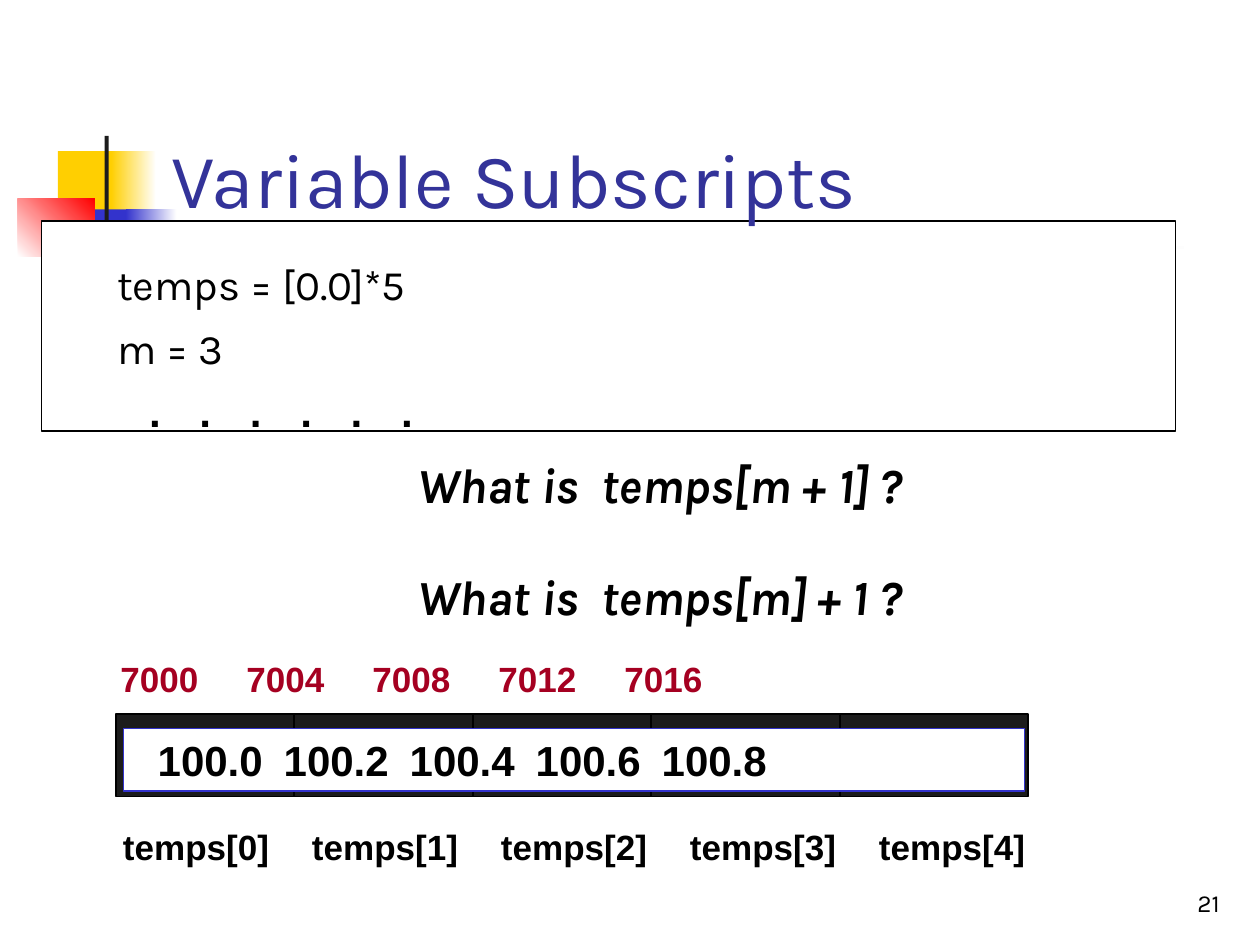
import pptx
import pptx.dml.color
import pptx.enum.shapes
import pptx.enum.text
import pptx.oxml
import pptx.oxml.ns
import pptx.util
from pptx.util import Cm

ANCHOR = pptx.enum.text.MSO_ANCHOR
ALIGN = pptx.enum.text.PP_ALIGN
BLACK, WHITE, DARK = "000000", "FFFFFF", "1C1C1C"
GOLD, BLUE, RED = "FFCF01", "3333CC", "FF0000"


def color(code):
    return pptx.dml.color.RGBColor.from_string(code)


def write(para, text, font="Karla", size=24, ink=BLACK, bold=False, italic=False,
          align=ALIGN.LEFT, before=0, left=0, hanging=0, stops=()):
    properties = para._p.get_or_add_pPr()
    properties.set("marL", str(Cm(left)))
    properties.set("indent", str(Cm(-hanging)))
    if stops:
        tabs = pptx.oxml.parse_xml(f"<a:tabLst {pptx.oxml.ns.nsdecls('a')}/>")
        for stop in stops:
            tab = tabs.makeelement(pptx.oxml.ns.qn("a:tab"), pos=str(Cm(stop)), algn="l")
            tabs.append(tab)
        properties.append(tabs)
    para.alignment = align
    para.space_before = pptx.util.Pt(before)
    span = para.add_run()
    span.text = text
    span.font.name = font
    span.font.size = pptx.util.Pt(size)
    span.font.color.rgb = color(ink)
    span.font.bold = bold
    span.font.italic = italic


class Painter:
    def __init__(self, page):
        self.page = page

    def rectangle(self, left, top, width, height, fill, line=None, weight=1, angle=0):
        kind = pptx.enum.shapes.MSO_SHAPE.RECTANGLE
        box = self.page.shapes.add_shape(kind, Cm(left), Cm(top), Cm(width), Cm(height))
        box.shadow.inherit = False
        if isinstance(fill, tuple):
            box.fill.gradient()
            box.fill.gradient_angle = angle
            for stop, code, position in zip(box.fill.gradient_stops, fill, (0, 1)):
                stop.color.rgb = color(code)
                stop.position = position
        else:
            box.fill.solid()
            box.fill.fore_color.rgb = color(fill)
        if line:
            box.line.color.rgb = color(line)
            box.line.width = pptx.util.Pt(weight)
        else:
            box.line.fill.background()
        return box

    def divider(self, x, top, bottom):
        kind = pptx.enum.shapes.MSO_CONNECTOR.STRAIGHT
        line = self.page.shapes.add_connector(kind, Cm(x), Cm(top), Cm(x), Cm(bottom))
        line.line.color.rgb = color(BLACK)
        line.line.width = pptx.util.Pt(1)
        effects = pptx.oxml.parse_xml(f"<a:effectLst {pptx.oxml.ns.nsdecls('a')}/>")
        line._element.spPr.append(effects)

    def text(self, left, top, width, height, paragraphs, anchor=ANCHOR.TOP):
        box = self.page.shapes.add_textbox(Cm(left), Cm(top), Cm(width), Cm(height))
        frame = box.text_frame
        frame.word_wrap = True
        frame.vertical_anchor = anchor
        for index, (content, style) in enumerate(paragraphs):
            para = frame.add_paragraph() if index else frame.paragraphs[0]
            write(para, content, **style)

    def row(self, left, top, items, stops, ink=BLACK):
        style = dict(font="Arial", size=20, bold=True, ink=ink, stops=stops)
        self.text(left, top, 19, 1.09, [("\t".join(items), style)])


def main():
    deck = pptx.Presentation()
    deck.slide_width, deck.slide_height = Cm(25.4), Cm(19.05)
    painter = Painter(deck.slides.add_slide(deck.slide_layouts[6]))

    painter.rectangle(1.17, 3.05, 1.22, 1.32, GOLD)
    painter.rectangle(2.24, 3.05, 0.91, 1.32, (GOLD, WHITE))
    painter.rectangle(1.5, 4.22, 1.17, 1.32, BLUE)
    painter.rectangle(2.54, 4.22, 1.02, 1.32, (BLUE, WHITE))
    painter.rectangle(0.36, 4.01, 1.55, 1.17, (WHITE, RED), angle=45)
    painter.rectangle(2.11, 2.74, 0.08, 2.92, DARK)
    painter.rectangle(1.22, 4.95, 22.86, 0.08, (DARK, WHITE))
    painter.text(19.56, 17.35, 5.28, 1.27, [("21", dict(size=14, align=ALIGN.RIGHT))], ANCHOR.BOTTOM)

    painter.rectangle(0.84, 4.45, 22.86, 4.24, WHITE, line=BLACK)
    painter.text(3.2, 0.58, 21.64, 4.06,
                 [("Variable Subscripts", dict(size=44, ink="333399"))], ANCHOR.BOTTOM)
    question = dict(size=28, bold=True, italic=True, left=6.05)
    painter.text(2.11, 5.08, 22.43, 7.85, [
        ("temps = [0.0]*5", dict(left=0.97, hanging=0.97)),
        ("m = 3", dict(left=0.97, hanging=0.97, before=8)),
        (". . . . . .", dict(font="Courier New", bold=True, left=1.48, hanging=0.97, before=7)),
        ("What is  temps[m + 1] ?", dict(question, before=11)),
        ("What is  temps[m] + 1 ?", dict(question, before=30)),
    ])

    painter.rectangle(2.34, 14.4, 18.39, 1.66, DARK, line=BLACK)
    for x in (5.92, 9.53, 13.13, 16.94):
        painter.divider(x, 14.4, 16.06)
    indexes = range(5)
    painter.row(2.23, 16.51, [f"temps[{i}]" for i in indexes], [3.73 * i for i in indexes[1:]])
    painter.row(2.18, 13.13, [str(7000 + 4 * i) for i in indexes],
                (3.53, 7.06, 10.8, 14.5), ink="A50021")

    values = painter.rectangle(2.49, 14.68, 18.16, 1.27, WHITE, line=BLUE, weight=0.75)
    values.text_frame.vertical_anchor = ANCHOR.TOP
    values.text_frame.margin_left = Cm(0.69)
    write(values.text_frame.paragraphs[0], "\t".join(f"{100 + i / 5:.1f}" for i in indexes),
          font="Arial", bold=True, stops=(3.53, 7.28, 10.8, 14.57))
    deck.save("out.pptx")


if __name__ == "__main__":
    main()
